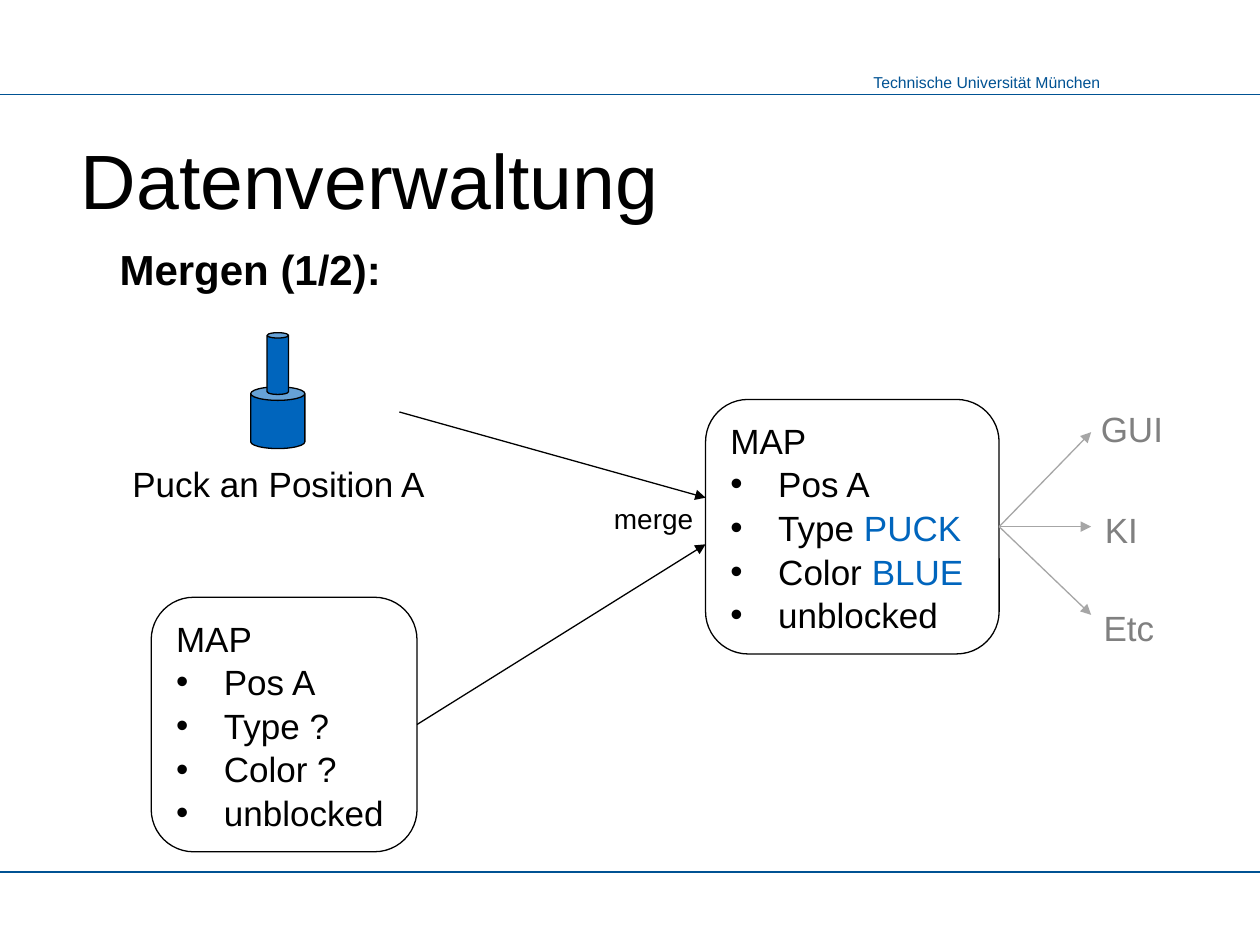
from lxml.etree import SubElement
from pptx import Presentation
from pptx.dml.color import RGBColor
from pptx.enum.shapes import MSO_CONNECTOR, MSO_SHAPE
from pptx.enum.text import MSO_ANCHOR, MSO_AUTO_SIZE, PP_ALIGN
from pptx.oxml.ns import qn
from pptx.util import Inches, Pt

BLACK = RGBColor(0x00, 0x00, 0x00)
HEADER_BLUE = RGBColor(0x00, 0x52, 0x93)
PUCK_BLUE = RGBColor(0x00, 0x65, 0xBD)
ARROW_GRAY = RGBColor(0xA6, 0xA6, 0xA6)
LABEL_GRAY = RGBColor(0x80, 0x80, 0x80)
FONT = "Arial"
LINE_SPACING = 1.04


def write_text(paragraph, text, size=20, color=BLACK, bold=False):
    run = paragraph.add_run()
    run.text = text
    run.font.name = FONT
    run.font.size = Pt(size)
    run.font.bold = bold
    run.font.color.rgb = color


def set_indent(paragraph, left, first=0, bullet=None):
    properties = paragraph._p.get_or_add_pPr()
    properties.set("marL", str(Inches(left)))
    properties.set("indent", str(Inches(first)))
    if bullet:
        SubElement(properties, qn("a:buFont")).set("typeface", FONT)
        SubElement(properties, qn("a:buChar")).set("char", bullet)


def add_label(slide, box, text, align=PP_ALIGN.RIGHT, **text_format):
    """Add a one-line text box that fits its text."""
    shape = slide.shapes.add_textbox(*map(Inches, box))
    frame = shape.text_frame
    frame.word_wrap = False
    frame.auto_size = MSO_AUTO_SIZE.SHAPE_TO_FIT_TEXT
    paragraph = frame.paragraphs[0]
    paragraph.alignment = align
    paragraph.line_spacing = LINE_SPACING
    write_text(paragraph, text, **text_format)


def add_outlined_shape(slide, kind, box, fill=None):
    shape = slide.shapes.add_shape(kind, *map(Inches, box))
    shape.shadow.inherit = False
    if fill is None:
        shape.fill.background()
    else:
        shape.fill.solid()
        shape.fill.fore_color.rgb = fill
    shape.line.color.rgb = BLACK
    shape.line.width = Pt(0.75)
    return shape


def add_map(slide, box, entries):
    """Add a MAP box; each entry is a label and a highlighted value."""
    shape = add_outlined_shape(slide, MSO_SHAPE.ROUNDED_RECTANGLE, box)
    frame = shape.text_frame
    frame.word_wrap = False
    frame.vertical_anchor = MSO_ANCHOR.MIDDLE
    heading = frame.paragraphs[0]
    write_text(heading, "MAP")
    for label, value in entries:
        paragraph = frame.add_paragraph()
        set_indent(paragraph, 0.38, -0.38, "•")
        write_text(paragraph, label)
        if value:
            write_text(paragraph, value, color=PUCK_BLUE)
    for paragraph in frame.paragraphs:
        paragraph.alignment = PP_ALIGN.LEFT
        paragraph.line_spacing = LINE_SPACING
    return shape


def add_line(slide, start, end, color, arrow=False, source=None):
    """Add a line; a source shape is joined at the middle of its right side."""
    connector = slide.shapes.add_connector(
        MSO_CONNECTOR.STRAIGHT, *map(Inches, (*start, *end)))
    connector.line.color.rgb = color
    connector.line.width = Pt(0.75)
    if arrow:
        SubElement(connector.line._get_or_add_ln(), qn("a:tailEnd")).set("type", "triangle")
    SubElement(connector._element.spPr, qn("a:effectLst"))
    if source is not None:
        connector.begin_connect(source, 3)


def add_headings(slide):
    title = slide.shapes.title
    title.left, title.top, title.width, title.height = map(Inches, (0.56, 0.93, 8.89, 0.66))
    frame = title.text_frame
    frame.auto_size = MSO_AUTO_SIZE.NONE
    frame.vertical_anchor = MSO_ANCHOR.TOP
    frame.margin_left = Inches(0.08)
    frame.margin_top, frame.margin_bottom = Inches(0.12), 0
    frame.paragraphs[0].alignment = PP_ALIGN.LEFT
    write_text(frame.paragraphs[0], "Datenverwaltung", size=44)

    body = slide.shapes.add_textbox(*map(Inches, (0.56, 1.85, 8.89, 4.89)))
    body.text_frame.word_wrap = True
    body.text_frame.margin_top = Inches(0.08)
    paragraph = body.text_frame.paragraphs[0]
    set_indent(paragraph, 0.29)
    write_text(paragraph, "Mergen (1/2):", size=24, bold=True)


def main():
    presentation = Presentation()
    presentation.slide_width, presentation.slide_height = Inches(10), Inches(7.5)
    slide = presentation.slides.add_slide(presentation.slide_layouts[5])

    # Header, rules and headings
    add_label(slide, (6.81, 0.52, 2.02, 0.25), "Technische Universität München",
              size=9, color=HEADER_BLUE)
    for y in (6.92, 0.75):
        add_line(slide, (0, y), (10, y), HEADER_BLUE)
    add_headings(slide)

    # Puck
    for box in ((1.99, 3.07, 0.43, 0.49), (2.12, 2.64, 0.17, 0.49)):
        add_outlined_shape(slide, MSO_SHAPE.CAN, box, fill=PUCK_BLUE)
    add_label(slide, (0.93, 3.61, 2.54, 0.44), "Puck an Position A")

    # Map before and after the merge
    old_map = add_map(slide, (1.2, 4.74, 2.11, 2.02), [
        ("Pos A", ""), ("Type ?", ""), ("Color ?", ""), ("unblocked", "")])
    merged_map = add_map(slide, (5.6, 3.17, 2.33, 2.02), [
        ("Pos A", ""), ("Type ", "PUCK"), ("Color ", "BLUE"), ("unblocked", "")])

    # Merge arrows
    add_line(slide, (3.31, 5.75), (5.6, 4.32), BLACK, arrow=True, source=old_map)
    add_line(slide, (3.17, 3.27), (5.6, 3.95), BLACK, arrow=True)
    add_label(slide, (4.76, 3.92, 0.84, 0.37), "merge", size=16)

    # Consumers of the merged map
    consumers = [
        ("GUI", (8.63, 3.17, 0.7, 0.44), 3.43, PP_ALIGN.RIGHT),
        ("KI", (8.66, 3.97, 0.47, 0.44), 4.18, PP_ALIGN.RIGHT),
        ("Etc", (8.66, 4.75, 0.61, 0.44), 4.88, PP_ALIGN.LEFT),
    ]
    for name, box, arrow_y, align in consumers:
        add_line(slide, (7.93, 4.18), (8.66, arrow_y), ARROW_GRAY,
                 arrow=True, source=merged_map)
        add_label(slide, box, name, align=align, color=LABEL_GRAY)

    presentation.save("out.pptx")


if __name__ == "__main__":
    main()
